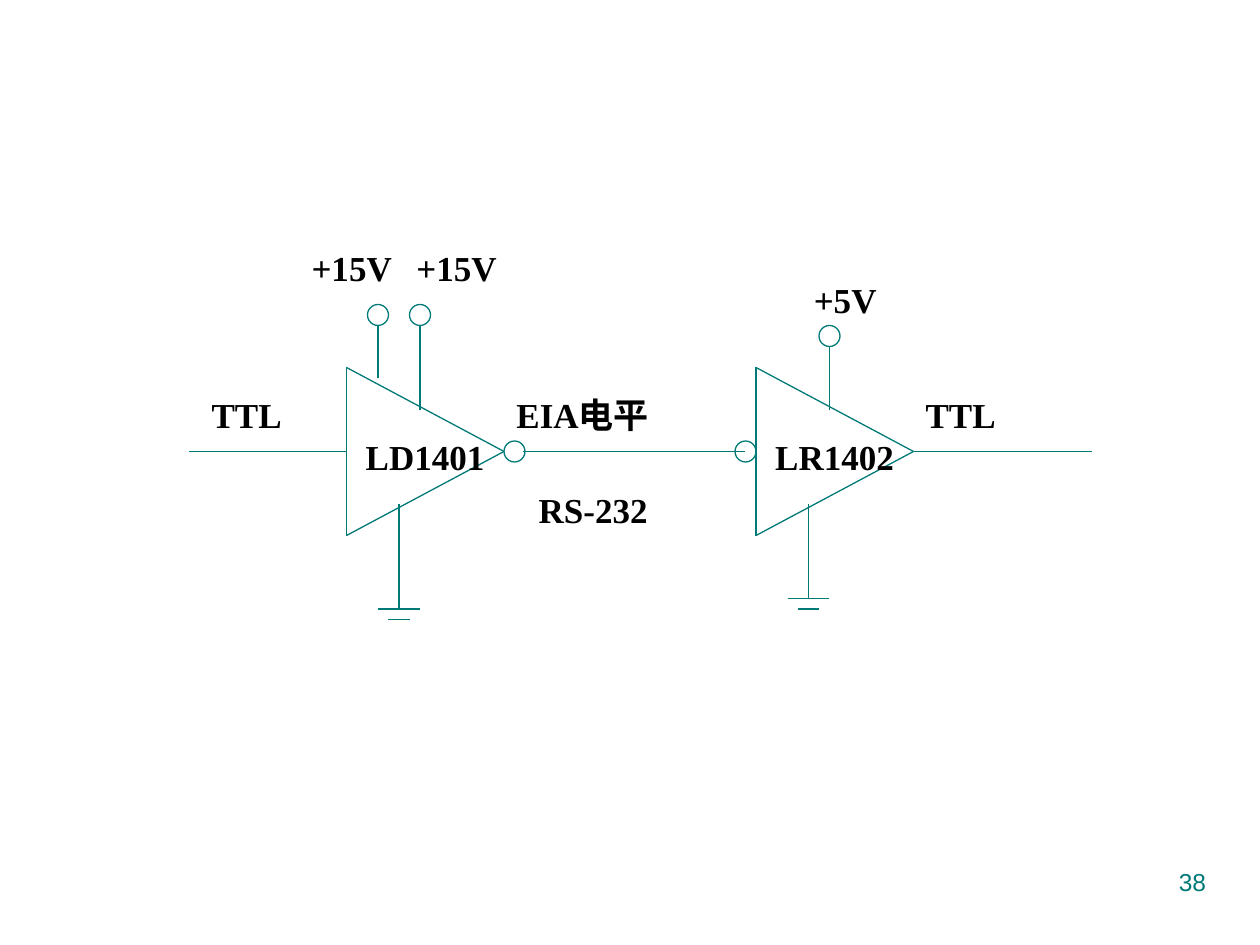
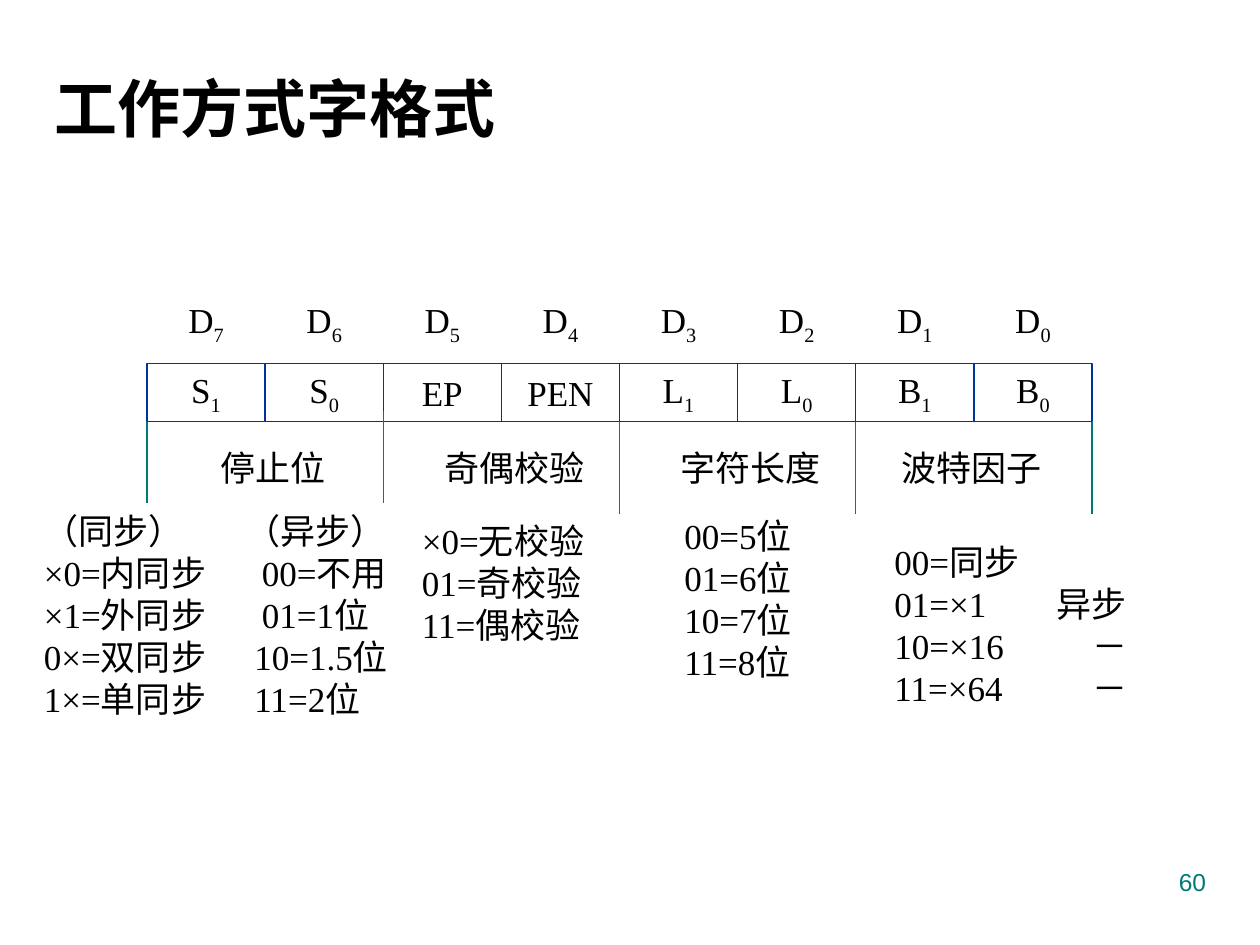
from dataclasses import dataclass

from lxml import etree
from pptx import Presentation
from pptx.dml.color import RGBColor
from pptx.enum.shapes import MSO_CONNECTOR, MSO_SHAPE
from pptx.enum.text import MSO_ANCHOR, PP_ALIGN
from pptx.oxml.ns import qn
from pptx.util import Inches, Pt

STRAIGHT = MSO_CONNECTOR.STRAIGHT
OVAL, RECT = MSO_SHAPE.OVAL, MSO_SHAPE.RECTANGLE
LEFT, CENTER, RIGHT = PP_ALIGN.LEFT, PP_ALIGN.CENTER, PP_ALIGN.RIGHT
TOP, MIDDLE = MSO_ANCHOR.TOP, MSO_ANCHOR.MIDDLE


@dataclass(frozen=True)
class Theme:
    teal: str = "007A77"
    blue: str = "003399"
    ink: str = "000000"
    serif: str = "Times New Roman"
    sans: str = "Arial"
    cjk: str = "Noto Sans CJK SC"
    title: int = 36
    body: int = 20
    number: int = 14
    line: float = 0.75


T = Theme()
COLUMNS, ROWS = 120, 90
DOT = 2
LABEL_W, LABEL_H = 17, 5
CELL_W, CELL_H = 11.25, 5.5
REG_X, REG_Y = 14, 34.65


def grid(*units):
    return [Inches(u / 12) for u in units]


def add_run(p, text, size, font, color, bold, sub=False):
    r = p.add_run()
    r.text = text
    r.font.size, r.font.name, r.font.bold = Pt(size), font, bold
    r.font.color.rgb = RGBColor.from_string(color)
    rpr = r._r.get_or_add_rPr()
    etree.SubElement(rpr, qn("a:ea")).set("typeface", T.cjk)
    if sub:
        rpr.set("baseline", "-25000")


def set_tab(p, inches):
    tabs = etree.SubElement(p._p.get_or_add_pPr(), qn("a:tabLst"))
    etree.SubElement(tabs, qn("a:tab"), pos=str(Inches(inches)), algn="l")


def write(sp, text, sub="", size=T.body, font=T.serif, color=T.ink, bold=False,
          align=CENTER, anchor=MIDDLE, tabs=(), before=0):
    tf = sp.text_frame
    tf.word_wrap, tf.vertical_anchor = True, anchor
    for i, line in enumerate(text.split("\n")):
        p = tf.paragraphs[0] if i == 0 else tf.add_paragraph()
        p.alignment = align
        if before:
            p.space_before = Pt(before)
        if i < len(tabs) and tabs[i]:
            set_tab(p, tabs[i])
        add_run(p, line, size, font, color, bold)
        if sub:
            add_run(p, sub, size, font, color, bold, sub=True)


def add_text(s, x, y, w, h, text, **fmt):
    write(s.shapes.add_textbox(*grid(x, y, w, h)), text, **fmt)


def add_label(s, center, y, text, **fmt):
    add_text(s, center - LABEL_W / 2, y, LABEL_W, LABEL_H, text, **fmt)


def add_line(s, x1, y1, x2, y2):
    c = s.shapes.add_connector(STRAIGHT, *grid(x1, y1, x2, y2))
    c.line.color.rgb = RGBColor.from_string(T.teal)
    c.line.width = Pt(T.line)
    etree.SubElement(c._element.spPr, qn("a:effectLst"))


def add_outline(s, kind, x, y, w, h, color):
    sp = s.shapes.add_shape(kind, *grid(x, y, w, h))
    sp.shadow.inherit = False
    sp.fill.background()
    sp.line.color.rgb = RGBColor.from_string(color)
    sp.line.width = Pt(T.line)
    return sp


def add_dot(s, x, y):
    add_outline(s, OVAL, x, y, DOT, DOT, T.teal)


def add_gate(s, x, name):
    top, tip, bottom = 35, 43, 51
    add_line(s, x, top, x, bottom)
    add_line(s, x, top, x + 15, tip)
    add_line(s, x, bottom, x + 15, tip)
    add_label(s, x + 7.5, 41, name, bold=True)


def add_supply(s, x, top, bottom):
    add_dot(s, x - DOT / 2, top - DOT)
    add_line(s, x, bottom, x, top)


def add_ground(s, x, y):
    add_line(s, x, 48, x, y)
    for half, drop in ((2, 0), (1, 1)):
        add_line(s, x - half, y + drop, x + half, y + drop)


def add_slide(prs, number):
    s = prs.slides.add_slide(prs.slide_layouts[6])
    add_text(s, 86.05, 82, 30, 6.25, str(number), size=T.number, font=T.sans,
             color=T.teal, align=RIGHT, anchor=TOP)
    return s


def level_converter(prs):
    s = add_slide(prs, 38)
    add_gate(s, 33, "LD1401")
    add_gate(s, 72, "LR1402")
    for x in (48, 70):
        add_dot(s, x, 42)
    for x1, x2 in ((18, 33), (49.8, 71), (87, 104)):
        add_line(s, x1, 43, x2, 43)
    for x, top, bottom in ((36, 31, 36), (40, 31, 39), (79, 33, 39)):
        add_supply(s, x, top, bottom)
    for x, y in ((38, 58), (77, 57)):
        add_ground(s, x, y)
    for center, y, text in ((33.5, 23, "+15V"), (43.5, 23, "+15V"),
                            (80.5, 26, "+5V"), (23.5, 37, "TTL"),
                            (55.5, 37, "EIA电平"), (91.5, 37, "TTL"),
                            (56.5, 46, "RS-232")):
        add_label(s, center, y, text, bold=True)


def mode_word(prs):
    s = add_slide(prs, 60)
    add_text(s, 4, 6, 109, 8.4, "工作方式字格式", size=T.title, font=T.cjk,
             bold=True, align=LEFT, anchor=TOP, before=9)

    fields = (("S", "1"), ("S", "0"), ("EP", ""), ("PEN", ""),
              ("L", "1"), ("L", "0"), ("B", "1"), ("B", "0"))
    for i, (name, sub) in enumerate(fields):
        x = REG_X + i * CELL_W
        write(add_outline(s, RECT, x, REG_Y, CELL_W, CELL_H, T.blue), name, sub=sub)
        add_text(s, x, 28, CELL_W, CELL_H, "D", sub=str(7 - i))

    base = REG_Y + CELL_H
    for i, (top, bottom) in enumerate(((base, 47.9), (39.1, 47.9), (base, 49),
                                       (base, 49), (base, 49))):
        x = REG_X + i * 2 * CELL_W
        add_line(s, x, top, x, bottom)

    for center, text in ((26, "停止位"), (49, "奇偶校验"),
                         (71.5, "字符长度"), (92.5, "波特因子")):
        add_label(s, center, 42, text)

    stop_bits = ("（同步）\t（异步）\n×0=内同步\t00=不用\n×1=外同步\t01=1位\n"
                 "0×=双同步\t10=1.5位\n1×=单同步\t11=2位")
    baud = "00=同步\n01=×1\t异步\n10=×16\t－\n11=×64\t－"
    for x, y, w, h, text, tabs in (
            (3, 47, 36, 23, stop_bits, (1.6, 1.73, 1.73, 1.67, 1.67)),
            (39, 49, 22, 13, "×0=无校验\n01=奇校验\n11=偶校验", ()),
            (64, 49, 18, 16, "00=5位\n01=6位\n10=7位\n11=8位", ()),
            (84, 48, 30, 23, baud, (0, 1.29, 1.57, 1.57))):
        add_text(s, x, y, w, h, text, align=LEFT, tabs=tabs)


def main():
    prs = Presentation()
    prs.slide_width, prs.slide_height = grid(COLUMNS, ROWS)
    level_converter(prs)
    mode_word(prs)
    prs.save("out.pptx")


if __name__ == "__main__":
    main()
